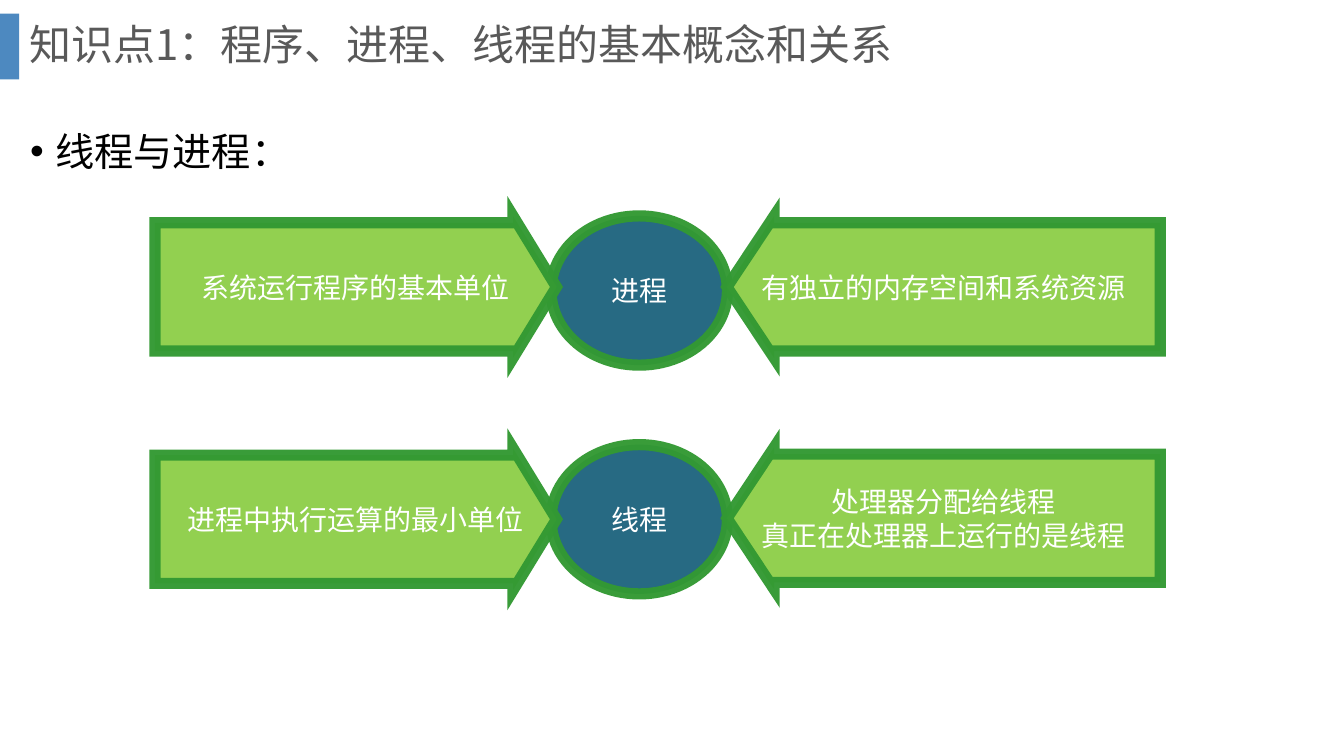
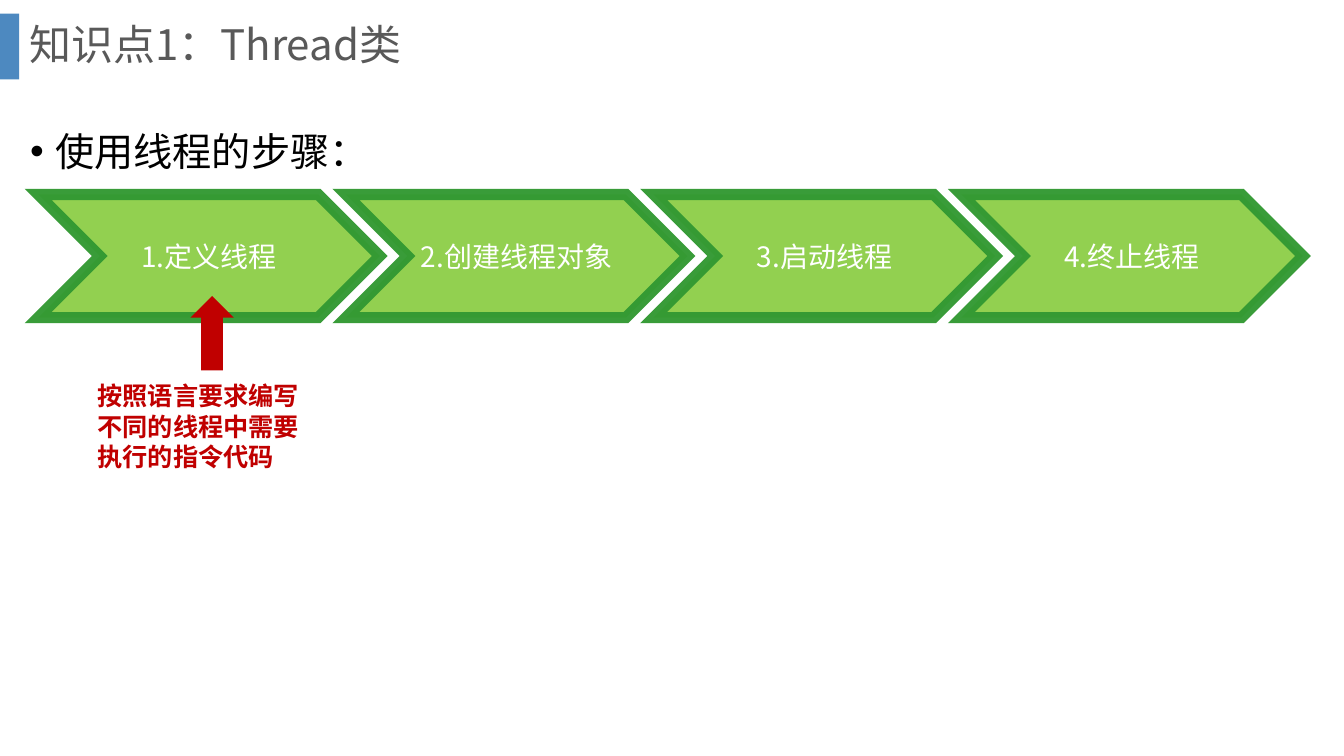
from dataclasses import dataclass

from lxml import etree
from pptx import Presentation
from pptx.dml.color import RGBColor
from pptx.enum.shapes import MSO_SHAPE
from pptx.enum.text import MSO_ANCHOR, MSO_AUTO_SIZE, PP_ALIGN
from pptx.oxml.ns import qn
from pptx.util import Pt

RECTANGLE, OVAL = MSO_SHAPE.RECTANGLE, MSO_SHAPE.OVAL
UP_ARROW, CHEVRON = MSO_SHAPE.UP_ARROW, MSO_SHAPE.CHEVRON
LEFT, CENTER = PP_ALIGN.LEFT, PP_ALIGN.CENTER
TOP, MIDDLE = MSO_ANCHOR.TOP, MSO_ANCHOR.MIDDLE
NO_AUTOFIT = MSO_AUTO_SIZE.NONE

FONT = "Noto Sans CJK SC"
WHITE, BLACK, GRAY = "FFFFFF", "000000", "595959"
BLUE, TEAL, RED = "2E75B6", "276A83", "C00000"
LIME, GREEN = "92D050", "339933"


@dataclass(frozen=True)
class Area:
    left: float
    top: float
    width: float
    height: float

    def lengths(self) -> tuple:
        return Pt(self.left), Pt(self.top), Pt(self.width), Pt(self.height)


@dataclass(frozen=True)
class Concept:
    """One row: a term in a circle with a statement arrow on each side."""
    term: str
    left_text: str
    right_text: str
    circle_top: float
    left_top: float
    right_top: float


@dataclass(frozen=True)
class ArrowSpan:
    """Horizontal extent of a block arrow, from its tail to its tip."""
    tail: float
    neck: float
    tip: float


BAND_AREA = Area(0, 9.7, 13.7, 47)
TITLE_AREA = Area(13.7, 0, 911.5, 67)
BODY_AREA = Area(14.4, 70.6, 928.8, 429)

CONCEPTS = [
    Concept("进程", "系统运行程序的基本单位", "有独立的内存空间和系统资源", 154.2, 154.3, 154.3),
    Concept("线程", "进程中执行运算的最小单位",
            "处理器分配给线程\n真正在处理器上运行的是线程", 317.6, 320.2, 319.5),
]
LEFT_SPAN = ArrowSpan(110.7, 366.5, 397.5)
RIGHT_SPAN = ArrowSpan(828.8, 553, 519.3)
ARROW_HEIGHT, BARB = 101.4, 4.9

STEPS = ["定义线程", "创建线程对象", "启动线程", "终止线程"]
STEP_LEFT, STEP_PITCH = 27.3, 219.8


def paint(fill, color: str, opacity: int = 100) -> None:
    """Make a fill solid in the colour, with the opacity in percent."""
    fill.solid()
    fill.fore_color.rgb = RGBColor.from_string(color)
    if opacity < 100:
        rgb = fill._xPr.find(qn("a:solidFill")).find(qn("a:srgbClr"))
        etree.SubElement(rgb, qn("a:alpha"), val=str(opacity * 1000))


def add_bullet(para) -> None:
    properties = para._p.get_or_add_pPr()
    properties.set("marL", str(Pt(18)))
    properties.set("indent", str(-Pt(18)))
    etree.SubElement(properties, qn("a:buFont"), typeface="Arial")
    etree.SubElement(properties, qn("a:buChar"), char="•")


def write(frame, text: str, size: float, color: str, align=LEFT,
          bold: bool = False, spacing: float = 1, bulleted: bool = False) -> None:
    frame.text = text
    frame.word_wrap = True
    for para in frame.paragraphs:
        para.alignment = align
        para.line_spacing = spacing
        para.space_before = Pt(0)
        if bulleted:
            add_bullet(para)
        para.font.name = FONT
        para.font.size = Pt(size)
        para.font.bold = bold
        para.font.color.rgb = RGBColor.from_string(color)
        properties = para._p.pPr.find(qn("a:defRPr"))
        etree.SubElement(properties, qn("a:ea"), typeface=FONT)


def add_figure(page, kind, area: Area, fill: str, opacity: int = 100):
    shape = page.shapes.add_shape(kind, *area.lengths())
    shape.shadow.inherit = False
    paint(shape.fill, fill, opacity)
    shape.line.fill.background()
    return shape


def label(shape, text: str, side_inset: float = 7.2) -> None:
    """Give a shape the thick green outline and centred white text."""
    shape.line.width = Pt(8)
    paint(shape.line.fill, GREEN, 96)
    etree.SubElement(shape.line._ln, qn("a:miter"), lim="800000")
    frame = shape.text_frame
    frame.margin_left = frame.margin_right = Pt(side_inset)
    frame.vertical_anchor = MIDDLE
    write(frame, text, 20, WHITE, CENTER)


def add_block_arrow(page, span: ArrowSpan, top: float, text: str) -> None:
    bottom = top + ARROW_HEIGHT
    shaft_top, shaft_bottom = top + BARB, bottom - BARB
    outline = [
        (span.tip, (top + bottom) / 2), (span.neck, bottom),
        (span.neck, shaft_bottom), (span.tail, shaft_bottom),
        (span.tail, shaft_top), (span.neck, shaft_top),
    ]
    builder = page.shapes.build_freeform(Pt(span.neck), Pt(top))
    builder.add_line_segments([(Pt(x), Pt(y)) for x, y in outline])
    arrow = builder.convert_to_shape()
    arrow.shadow.inherit = False
    paint(arrow.fill, LIME)
    label(arrow, text)


def prepare_layout(deck):
    """Set the shared placeholder areas of the title-and-content layout."""
    layout = deck.slide_layouts[1]
    for holder, area in zip(layout.placeholders, (TITLE_AREA, BODY_AREA)):
        holder.left, holder.top, holder.width, holder.height = area.lengths()
    return layout


def add_page(deck, layout, title: str, heading: str):
    page = deck.slides.add_slide(layout)
    if len(deck.slides) == 1:
        band = add_figure(page, RECTANGLE, BAND_AREA, BLUE, 85)
        layout.shapes.element.append(band.element)

    title_frame = page.shapes.title.text_frame
    title_frame.auto_size = NO_AUTOFIT
    title_frame.vertical_anchor = MIDDLE
    write(title_frame, title, 30, GRAY, spacing=0.9)

    body_frame = page.placeholders[1].text_frame
    body_frame.auto_size = NO_AUTOFIT
    body_frame.vertical_anchor = TOP
    write(body_frame, heading, 28, BLACK, spacing=1.5, bulleted=True)
    return page


def add_concepts(page) -> None:
    for concept in CONCEPTS:
        area = Area(393.6, concept.circle_top, 126, 106.6)
        label(add_figure(page, OVAL, area, TEAL), concept.term)
    for concept in CONCEPTS:
        add_block_arrow(page, LEFT_SPAN, concept.left_top, concept.left_text)
        add_block_arrow(page, RIGHT_SPAN, concept.right_top, concept.right_text)


def add_steps(page) -> None:
    for index, step in enumerate(STEPS):
        area = Area(STEP_LEFT + index * STEP_PITCH, 138.9, 244, 88)
        chevron = add_figure(page, CHEVRON, area, LIME)
        chevron.adjustments[0] = 0.5
        label(chevron, f"{index + 1}.{step}", side_inset=0)


def add_step_note(page) -> None:
    box = page.shapes.add_textbox(*Area(62.6, 268.3, 173.5, 72.7).lengths())
    write(box.text_frame, "按照语言要求编写不同的线程中需要执行的指令代码", 18, RED, bold=True)
    add_figure(page, UP_ARROW, Area(136, 211.4, 31, 53.2), RED)


def main() -> None:
    deck = Presentation()
    deck.slide_width, deck.slide_height = Pt(960), Pt(540)
    layout = prepare_layout(deck)

    add_concepts(add_page(deck, layout, "知识点1：程序、进程、线程的基本概念和关系", "线程与进程："))

    steps_page = add_page(deck, layout, "知识点1：Thread类", "使用线程的步骤：")
    add_steps(steps_page)
    add_step_note(steps_page)

    deck.save("out.pptx")


if __name__ == "__main__":
    main()
